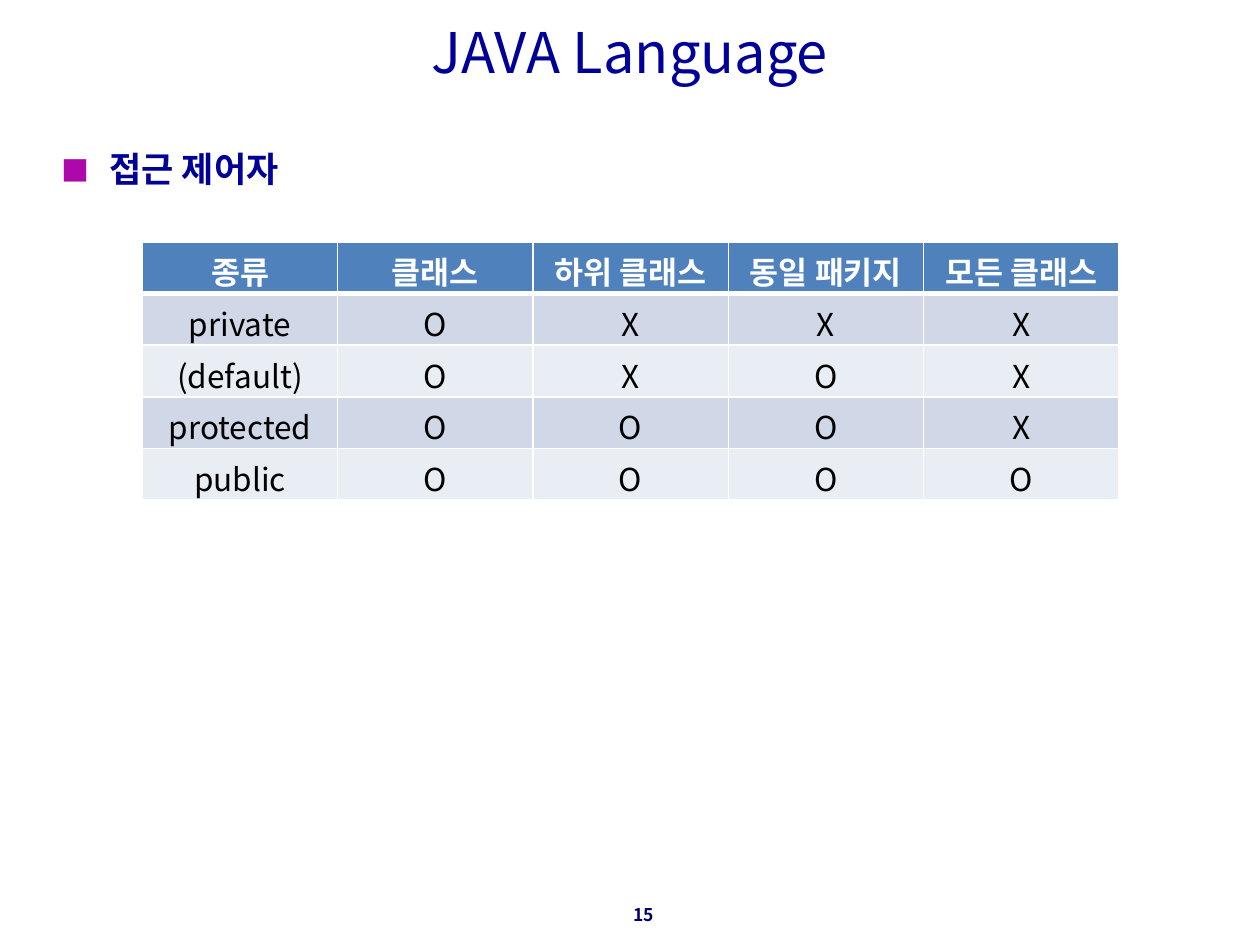
from pptx import Presentation
from pptx.dml.color import RGBColor
from pptx.enum.text import MSO_ANCHOR as Anchor, PP_ALIGN as Align
from pptx.oxml import parse_xml
from pptx.oxml.ns import nsdecls
from pptx.util import Inches, Pt

FONT = "Noto Sans CJK KR"
NAVY = "000099"
WHITE = "FFFFFF"
HEADER_FILL = "4F81BD"
BAND_FILLS = ("D0D8E8", "E9EDF4")

ACCESS_ROWS = [
    ("종류", "클래스", "하위 클래스", "동일 패키지", "모든 클래스"),
    ("private", "O", "X", "X", "X"),
    ("(default)", "O", "X", "O", "X"),
    ("protected", "O", "O", "O", "X"),
    ("public", "O", "O", "O", "O"),
]


def color(value):
    return RGBColor.from_string(value)


def element(tag, attributes="", content=""):
    return parse_xml(f"<a:{tag} {nsdecls('a')} {attributes}>{content}</a:{tag}>")


def add_span(para, text, size, tint, bold=False):
    span = para.add_run()
    span.text = text
    span.font.name = FONT
    span.font.size = Pt(size)
    span.font.bold = bold
    span.font.color.rgb = color(tint)
    # East Asian typeface for the Korean text
    span.font._element.append(element("ea", f'typeface="{FONT}"'))


def add_text(page, area, text, size, tint, align, bold=False):
    box = page.shapes.add_textbox(*map(Inches, area))
    frame = box.text_frame
    frame.word_wrap = True
    frame.margin_top = Inches(0.04)
    para = frame.paragraphs[0]
    para.alignment = align
    para.line_spacing = 0.9
    add_span(para, text, size, tint, bold)
    return para


def add_bullet(para, mark, tint, percent, indent):
    properties = para._p.get_or_add_pPr()
    properties.set("marL", str(Inches(indent)))
    properties.set("indent", str(-Inches(indent)))
    properties.append(element("buClr", "", f'<a:srgbClr val="{tint}"/>'))
    properties.append(element("buSzPct", f'val="{percent * 1000}"'))
    properties.append(element("buFont", f'typeface="{FONT}"'))
    properties.append(element("buChar", f'char="{mark}"'))


def set_borders(cell, **widths):
    # Borders come before the fill in the cell properties
    properties = cell._tc.get_or_add_tcPr()
    line = f'<a:solidFill><a:srgbClr val="{WHITE}"/></a:solidFill>'
    for position, (side, width) in enumerate(widths.items()):
        properties.insert(position, element(f"ln{side}", f'w="{Pt(width)}"', line))


def add_access_table(page, left, top, column_width, row_height):
    row_count, column_count = len(ACCESS_ROWS), len(ACCESS_ROWS[0])
    table = page.shapes.add_table(
        row_count, column_count, Inches(left), Inches(top),
        Inches(column_width * column_count), Inches(row_height * row_count)).table
    for column in table.columns:
        column.width = Inches(column_width)
    for row_index, values in enumerate(ACCESS_ROWS):
        table.rows[row_index].height = Inches(row_height)
        header = row_index == 0
        fill = HEADER_FILL if header else BAND_FILLS[(row_index - 1) % 2]
        for column_index, value in enumerate(values):
            cell = table.cell(row_index, column_index)
            cell.vertical_anchor = Anchor.MIDDLE
            cell.fill.solid()
            cell.fill.fore_color.rgb = color(fill)
            set_borders(cell, L=1, R=1, T=3 if row_index == 1 else 1,
                        B=3 if header else 1)
            para = cell.text_frame.paragraphs[0]
            para.alignment = Align.CENTER
            add_span(para, value, 18, WHITE if header else "000000", header)


def main():
    deck = Presentation()
    deck.slide_width, deck.slide_height = Inches(10), Inches(7.5)
    page = deck.slides.add_slide(deck.slide_layouts[6])

    # Page number and title
    add_text(page, (3.21, 7.15, 2.08, 0.34), "15", 10, "000066", Align.RIGHT, True)
    add_text(page, (0.5, 0.16, 9, 0.7), "JAVA Language", 32, NAVY, Align.CENTER)

    # Topic
    topic = add_text(page, (0.39, 1.17, 9.21, 5.55), "접근 제어자", 20, NAVY,
                     Align.LEFT, True)
    add_bullet(topic, "■", "AC08AC", 80, 0.38)

    # Access modifiers
    add_access_table(page, 1.13, 1.92, 1.55, 0.41)
    deck.save("out.pptx")


main()
